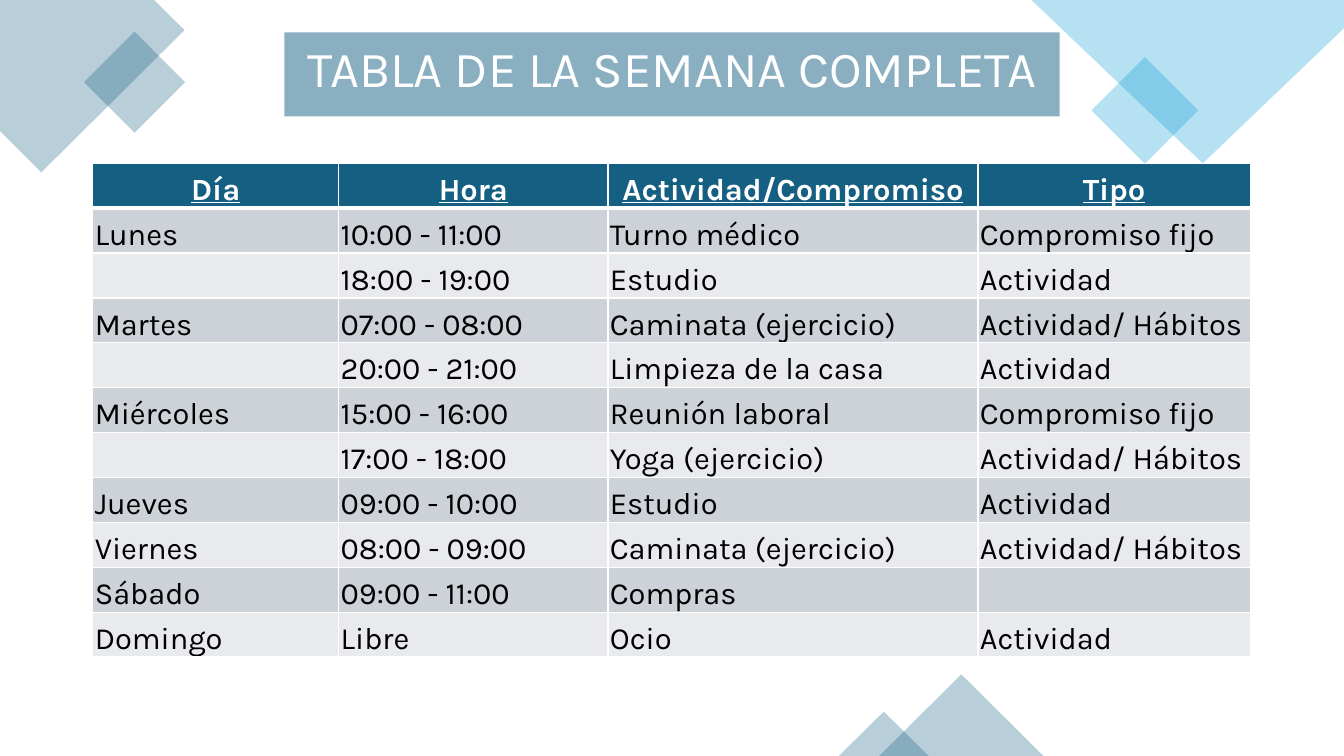
from lxml.etree import SubElement
from pptx import Presentation
from pptx.dml.color import RGBColor
from pptx.enum.shapes import MSO_SHAPE
from pptx.enum.text import MSO_ANCHOR, MSO_AUTO_SIZE, PP_ALIGN
from pptx.oxml.ns import qn
from pptx.util import Inches, Pt

COLORS = {
    "teal": "156082",
    "sky": "0F9ED5",
    "band_dark": "CCD2D8",
    "band_light": "E8EAED",
    "white": "FFFFFF",
    "black": "000000",
}
FONT = "Karla"


def paint(shape, color, opacity):
    shape.fill.solid()
    shape.fill.fore_color.rgb = RGBColor.from_string(COLORS[color])
    srgb = shape.fill._xPr.find(qn("a:solidFill")).find(qn("a:srgbClr"))
    SubElement(srgb, qn("a:alpha"), val=str(opacity * 1000))
    shape.line.fill.background()
    shape.shadow.inherit = False


def write(paragraph, text, size, color):
    run = paragraph.add_run()
    run.text = text
    run.font.name = FONT
    run.font.size = Pt(size)
    run.font.color.rgb = RGBColor.from_string(COLORS[color])
    return run


prs = Presentation()
prs.slide_width = Inches(13.33)
prs.slide_height = Inches(7.5)
slide = prs.slides.add_slide(prs.slide_layouts[5])
shapes = slide.shapes

corners = [
    ("teal", [(1.53, 0), (0, 0), (0, 1.3), (0.41, 1.71), (1.83, 0.3)]),
    ("sky", [(13.33, 0), (10.23, 0), (11.93, 1.62), (13.33, 0.28)]),
]
for color, points in corners:
    vertices = [(Inches(x), Inches(y)) for x, y in points]
    outline = shapes.build_freeform(*vertices[0])
    outline.add_line_segments(vertices[1:], close=True)
    paint(outline.convert_to_shape(), color, 30)

ornaments = [
    (MSO_SHAPE.RECTANGLE, "teal", 315, 0.98, 0.46, 0.71, 0.71),
    (MSO_SHAPE.RECTANGLE, "sky", 315, 10.98, 0.72, 0.75, 0.75),
    (MSO_SHAPE.ISOSCELES_TRIANGLE, "teal", 0, 8.72, 6.69, 1.63, 0.81),
    (MSO_SHAPE.ISOSCELES_TRIANGLE, "teal", 0, 8.32, 7.06, 0.89, 0.44),
]
for preset, color, rotation, *box in ornaments:
    ornament = shapes.add_shape(preset, *map(Inches, box))
    ornament.rotation = rotation
    paint(ornament, color, 30)

title = shapes.title
title.left, title.top = Inches(2.82), Inches(0.32)
title.width, title.height = Inches(7.69), Inches(0.71)
paint(title, "teal", 50)
title.text_frame.word_wrap = True
title.text_frame.auto_size = MSO_AUTO_SIZE.SHAPE_TO_FIT_TEXT
title.text_frame.vertical_anchor = MSO_ANCHOR.TOP
heading = title.text_frame.paragraphs[0]
heading.alignment = PP_ALIGN.CENTER
write(heading, "TABLA DE LA SEMANA COMPLETA", 36, "white")

schedule = [
    ("Día", "Hora", "Actividad/Compromiso", "Tipo"),
    ("Lunes", "10:00 - 11:00", "Turno médico", "Compromiso fijo"),
    ("", "18:00 - 19:00", "Estudio", "Actividad"),
    ("Martes", "07:00 - 08:00", "Caminata (ejercicio)", "Actividad/ Hábitos"),
    ("", "20:00 - 21:00", "Limpieza de la casa", "Actividad"),
    ("Miércoles", "15:00 - 16:00", "Reunión laboral", "Compromiso fijo"),
    ("", "17:00 - 18:00", "Yoga (ejercicio)", "Actividad/ Hábitos"),
    ("Jueves", "09:00 - 10:00", "Estudio", "Actividad"),
    ("Viernes", "08:00 - 09:00", "Caminata (ejercicio)", "Actividad/ Hábitos"),
    ("Sábado", "09:00 - 11:00", "Compras", ""),
    ("Domingo", "Libre", "Ocio", "Actividad"),
]
week = shapes.add_table(
    len(schedule), 4, Inches(0.92), Inches(1.62), Inches(11.48), Inches(4.9)
).table
for column, width in zip(week.columns, (2.44, 2.67, 3.67, 2.7)):
    column.width = Inches(width)

for row, entries in enumerate(schedule):
    is_header = row == 0
    if is_header:
        band = "teal"
    else:
        band = "band_dark" if row % 2 else "band_light"
    edges = {"lnL": 1, "lnR": 1, "lnT": 3 if row == 1 else 1, "lnB": 3 if is_header else 1}
    for col, entry in enumerate(entries):
        cell = week.cell(row, col)
        cell.margin_left = cell.margin_right = cell.margin_top = Inches(0.02)
        cell.margin_bottom = 0
        cell.vertical_anchor = MSO_ANCHOR.BOTTOM
        properties = cell._tc.get_or_add_tcPr()
        for edge, points in edges.items():
            border = SubElement(properties, qn(f"a:{edge}"), w=str(Pt(points)))
            stroke = SubElement(border, qn("a:solidFill"))
            SubElement(stroke, qn("a:srgbClr"), val=COLORS["white"])
        cell.fill.solid()
        cell.fill.fore_color.rgb = RGBColor.from_string(COLORS[band])
        if entry:
            paragraph = cell.text_frame.paragraphs[0]
            paragraph.alignment = PP_ALIGN.CENTER if is_header else PP_ALIGN.LEFT
            run = write(paragraph, entry, 22, "white" if is_header else "black")
            run.font.bold = is_header
            run.font.underline = is_header

prs.save("out.pptx")
